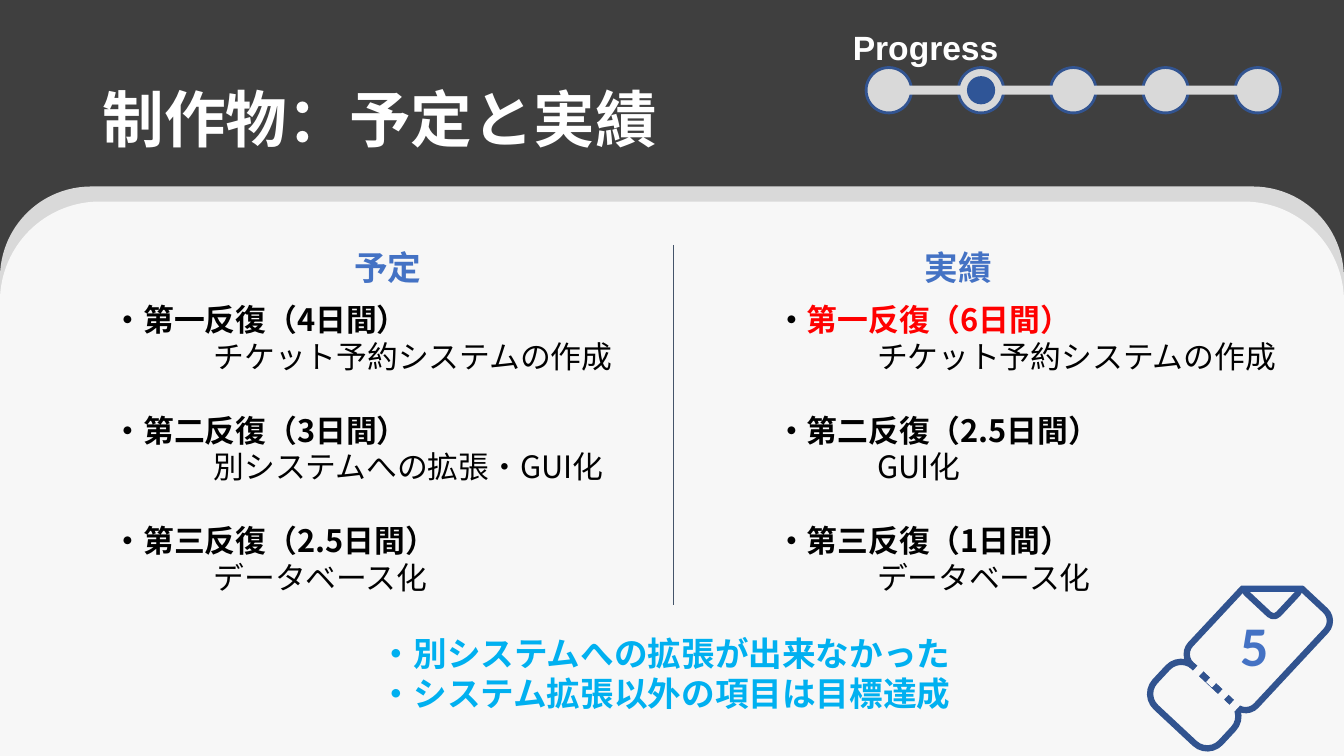
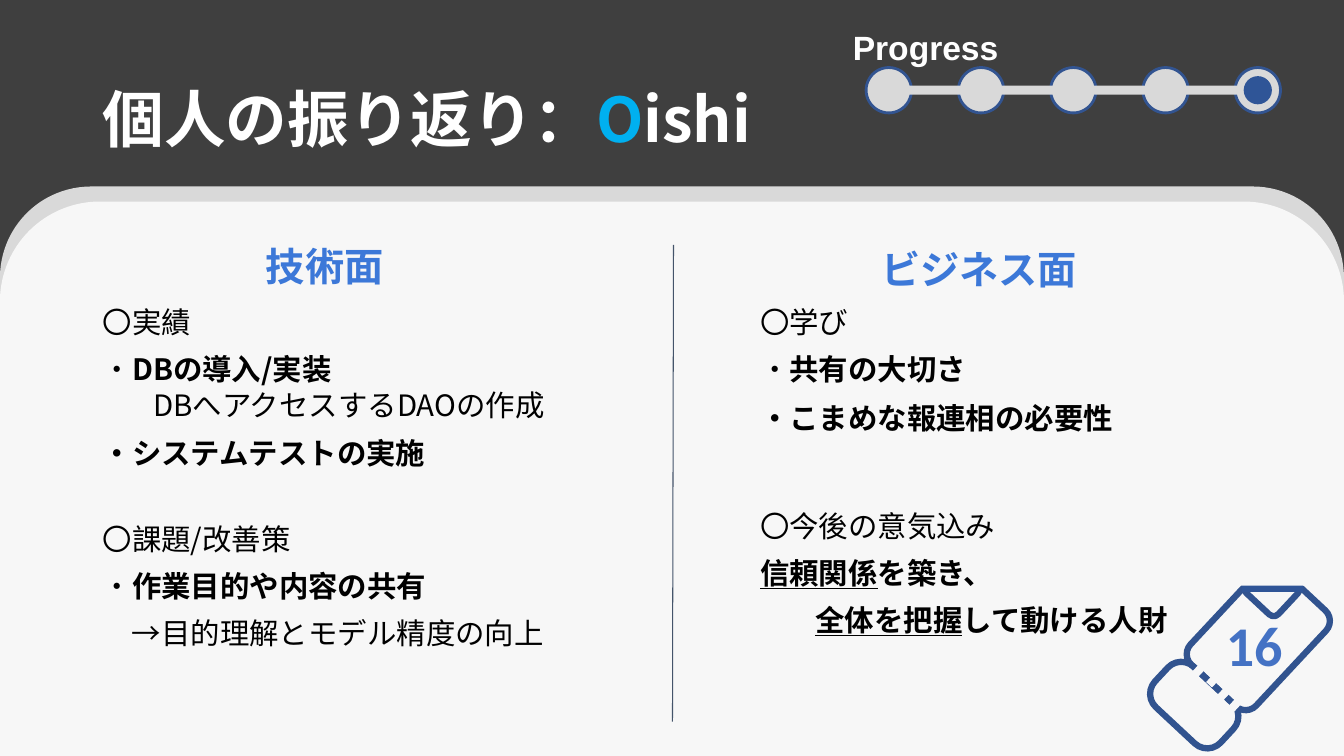
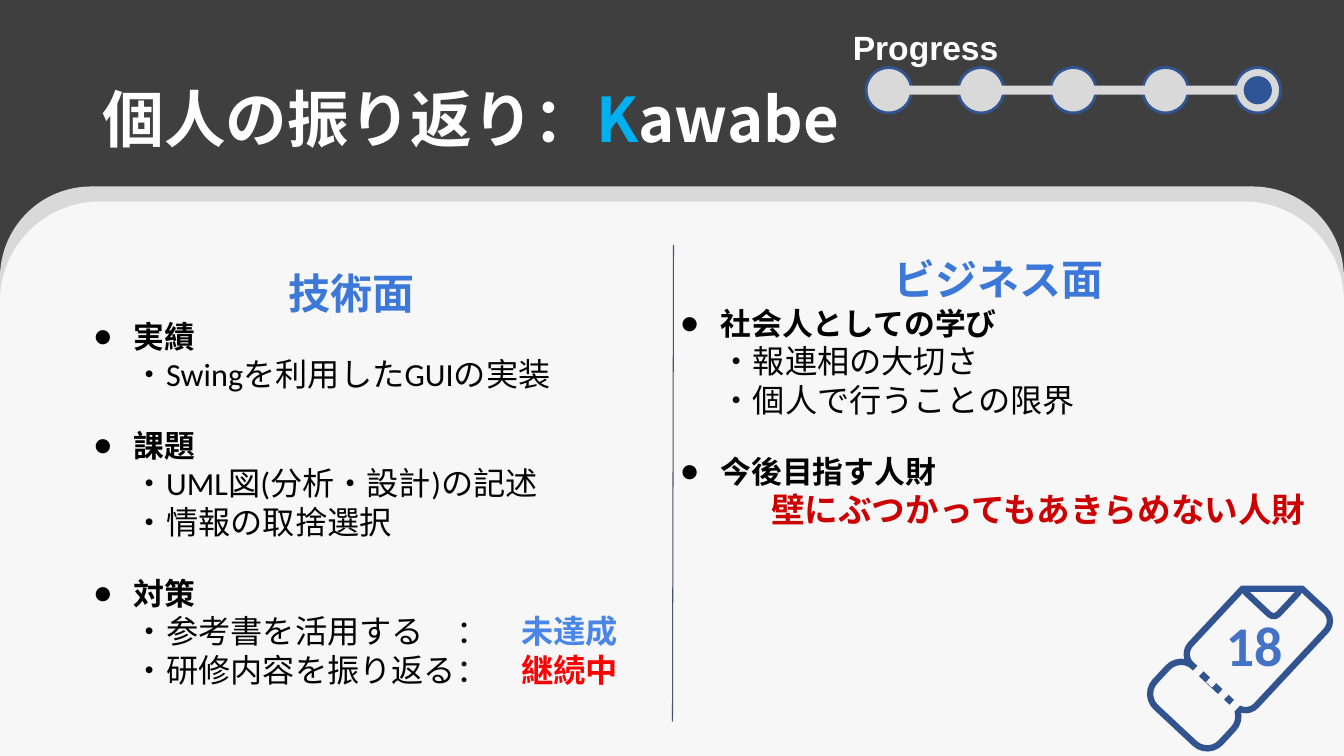
from dataclasses import dataclass
from typing import Optional

from lxml import etree
from pptx import Presentation
from pptx.dml.color import RGBColor
from pptx.enum.shapes import MSO_CONNECTOR, MSO_SHAPE
from pptx.enum.text import MSO_ANCHOR, PP_ALIGN
from pptx.oxml.ns import qn
from pptx.util import Inches, Pt

LEFT, CENTER = PP_ALIGN.LEFT, PP_ALIGN.CENTER
TOP, MIDDLE = MSO_ANCHOR.TOP, MSO_ANCHOR.MIDDLE
RECTANGLE, ROUNDED, OVAL = MSO_SHAPE.RECTANGLE, MSO_SHAPE.ROUNDED_RECTANGLE, MSO_SHAPE.OVAL
STRAIGHT = MSO_CONNECTOR.STRAIGHT

WIDTH, HEIGHT = 13.33, 7.5
LINE_RATIO = 1.2
GOTHIC, CALIBRI, ARIAL = "Noto Sans CJK JP", "Calibri", "Arial"
COLORS = {
    "background": "3F3F3F", "panel": "F7F7F7", "rim": "D9D9D9",
    "white": "FFFFFF", "black": "000000", "red": "FF0000", "dark red": "CC0000",
    "blue": "4472C4", "heading": "3C78D8", "sky": "00B0F0", "status": "4A86E8",
    "ticket": "31538F", "dot line": "325491", "dot": "2F5597", "divider": "44546A",
}
STEPS, STEP_LEFT, STEP_TOP, STEP_GAP, STEP_SIZE, MARK_SIZE = 5, 8.59, 0.67, 0.915, 0.45, 0.28
TICKET_ANGLE = 313


@dataclass(frozen=True)
class Box:
    left: float
    top: float
    width: float
    height: float


@dataclass(frozen=True)
class Run:
    text: str
    bold: bool = True
    color: str = "black"
    font: str = GOTHIC
    underline: bool = False


@dataclass(frozen=True)
class Line:
    """A paragraph; gap is the size of the empty line's worth of space above it."""
    runs: tuple[Run, ...]
    size: float
    gap: float = 0
    margin: float = 0
    indent: float = 0
    bullet: bool = False
    align: PP_ALIGN = LEFT


@dataclass(frozen=True)
class Block:
    box: Box
    lines: tuple[Line, ...]


@dataclass(frozen=True)
class Page:
    title: tuple[Run, ...]
    number: int
    step: int
    divider_end: tuple[float, float]
    blocks: tuple[Block, ...]


def rgb(name: str) -> RGBColor:
    return RGBColor.from_string(COLORS[name])


def add_run(paragraph, content: Run, size: float) -> None:
    run = paragraph.add_run()
    run.text = content.text
    font = run.font
    font.name, font.size, font.bold = content.font, Pt(size), content.bold
    font.underline = content.underline
    font.color.rgb = rgb(content.color)
    east_asian = etree.Element(qn("a:ea"), typeface=content.font)
    font._element.find(qn("a:latin")).addnext(east_asian)


def add_bullet(properties) -> None:
    color = etree.SubElement(properties, qn("a:buClr"))
    etree.SubElement(color, qn("a:srgbClr"), val=COLORS["black"])
    etree.SubElement(properties, qn("a:buFont"), typeface=CALIBRI)
    etree.SubElement(properties, qn("a:buChar"), char="●")


def add_text(slide, box: Box, lines: tuple[Line, ...], inset: float = 0.1,
             anchor: MSO_ANCHOR = TOP) -> None:
    shape = slide.shapes.add_textbox(*map(Inches, (box.left, box.top, box.width, box.height)))
    frame = shape.text_frame
    frame.word_wrap, frame.vertical_anchor = True, anchor
    frame.margin_left = frame.margin_right = Inches(0.1)
    frame.margin_top = frame.margin_bottom = Inches(inset)
    for index, line in enumerate(lines):
        paragraph = frame.add_paragraph() if index else frame.paragraphs[0]
        paragraph.alignment = line.align
        paragraph.line_spacing = Pt(LINE_RATIO * line.size)
        paragraph.space_before = Pt(LINE_RATIO * line.gap)
        properties = paragraph._p.get_or_add_pPr()
        properties.set("marL", str(Inches(line.margin)))
        properties.set("indent", str(Inches(line.indent)))
        if line.bullet:
            add_bullet(properties)
        for run in line.runs:
            add_run(paragraph, run, line.size)


def add_shape(slide, kind: MSO_SHAPE, box: Box, fill: Optional[str] = None,
              outline: Optional[str] = None, weight: float = 1,
              rounding: Optional[float] = None, angle: float = 0) -> None:
    shape = slide.shapes.add_shape(kind, *map(Inches, (box.left, box.top, box.width, box.height)))
    shape.shadow.inherit = False
    shape.rotation = angle
    if rounding is not None:
        shape.adjustments[0] = rounding
    if fill:
        shape.fill.solid()
        shape.fill.fore_color.rgb = rgb(fill)
    else:
        shape.fill.background()
    if outline:
        shape.line.color.rgb = rgb(outline)
        shape.line.width = Pt(weight)
    else:
        shape.line.fill.background()


def add_line(slide, start: tuple[float, float], end: tuple[float, float],
             color: str, weight: float) -> None:
    connector = slide.shapes.add_connector(STRAIGHT, *map(Inches, start + end))
    connector.line.color.rgb = rgb(color)
    connector.line.width = Pt(weight)
    etree.SubElement(connector._element.spPr, qn("a:effectLst"))


def add_panel(slide) -> None:
    add_shape(slide, ROUNDED, Box(0, 1.85, WIDTH, HEIGHT - 1.85), "rim", rounding=0.16)
    add_shape(slide, ROUNDED, Box(0, 2, WIDTH, HEIGHT - 2), "panel", rounding=0.18)
    add_shape(slide, RECTANGLE, Box(0, 6.55, WIDTH, HEIGHT - 6.55), "panel")


def add_ticket(slide, number: int) -> None:
    """Draw the torn ticket that carries the page number."""
    for box, rounding in ((Box(11.57, 6.55, 0.55, 0.89), 0.33),
                          (Box(11.83, 5.88, 1.3, 0.89), 0.16),
                          (Box(12.41, 5.62, 0.41, 0.44), 0.16)):
        add_shape(slide, ROUNDED, box, outline="ticket", weight=4.5,
                  rounding=rounding, angle=TICKET_ANGLE)
    add_line(slide, (12.32, 5.84), (12.92, 5.84), "dot", 4.5)
    add_shape(slide, RECTANGLE, Box(12.3, 5.49, 0.72, 0.32), "panel")
    for left, top in ((11.8, 6.6), (11.96, 6.68), (12.06, 6.82), (12.18, 6.92)):
        add_shape(slide, RECTANGLE, Box(left, top, 0.2, 0.08), "panel", angle=TICKET_ANGLE)
    label = Line((Run(str(number), color="blue", font=CALIBRI),), 40, align=CENTER)
    add_text(slide, Box(12.04, 6.01, 0.8, 0.77), (label,), inset=0.05)


def add_progress(slide, step: int) -> None:
    for index in range(STEPS):
        box = Box(STEP_LEFT + index * STEP_GAP, STEP_TOP, STEP_SIZE, STEP_SIZE)
        add_shape(slide, OVAL, box, "rim", "dot line", 2)
    add_shape(slide, RECTANGLE, Box(8.81, 0.85, 3.61, 0.09), "rim")
    label = Line((Run("Progress", color="white", font=ARIAL),), 24)
    add_text(slide, Box(8.36, 0.22, 1.77, 0.5), (label,), inset=0.05)
    offset = (STEP_SIZE - MARK_SIZE) / 2
    add_shape(slide, OVAL, Box(STEP_LEFT + step * STEP_GAP + offset, STEP_TOP + offset,
                               MARK_SIZE, MARK_SIZE), "dot")


def add_page(presentation, page: Page) -> None:
    slide = presentation.slides.add_slide(presentation.slide_layouts[6])
    slide.background.fill.solid()
    slide.background.fill.fore_color.rgb = rgb("background")
    add_panel(slide)
    add_text(slide, Box(0.92, 0.44, 11.5, 1.45), (Line(page.title, 44),), 0.05, MIDDLE)
    add_ticket(slide, page.number)
    add_line(slide, (6.68, 2.43), page.divider_end, "divider", 0.75)
    for block in page.blocks:
        add_text(slide, block.box, block.lines)
    add_progress(slide, page.step)


def heading(text: str, size: float, color: str = "heading", font: str = GOTHIC) -> Line:
    return Line((Run(text, color=color, font=font),), size, align=CENTER)


def iterations(items: tuple[tuple[str, str], ...], first_color: str = "black") -> tuple[Line, ...]:
    """Pair each iteration with its work; the first has a narrow dot and its own colour."""
    lines = []
    for index, (name, work) in enumerate(items):
        runs = ((Run("・" + name),) if index
                else (Run("・", font=CALIBRI), Run(name, color=first_color)))
        lines += [Line(runs, 22, gap=22 if index else 0),
                  Line((Run(work, bold=False),), 22, margin=1)]
    return tuple(lines)


def note(*runs: Run, gap: float = 7, indent: float = 0) -> Line:
    return Line(runs, 21, gap, indent=indent)


def topic(text: str, gap: float = 0) -> Line:
    return Line((Run(text, font=CALIBRI),), 22, gap, margin=0.5, indent=-0.4, bullet=True)


def detail(text: str, *status: Run) -> Line:
    return Line((Run(text, False, font=CALIBRI),) + status, 23, indent=0.5)


def reflection_title(initial: str, rest: str) -> tuple[Run, ...]:
    return (Run("個人の振り返り：", color="white"), Run(initial, color="sky"),
            Run(rest, color="white"))


DOT = Run("・", False, font=CALIBRI)

PAGES = (
    Page((Run("制作物：予定と実績", color="white"),), 5, 1, (6.68, 6), (
        Block(Box(3.34, 2.35, 1.01, 0.63), (heading("予定", 24, "blue"),)),
        Block(Box(9, 2.35, 1.01, 0.63), (heading("実績", 24, "blue"),)),
        Block(Box(1.02, 2.88, 5.33, 3.05), iterations((
            ("第一反復（4日間）", "チケット予約システムの作成"),
            ("第二反復（3日間）", "別システムへの拡張・GUI化"),
            ("第三反復（2.5日間）", "データベース化")))),
        Block(Box(7.6, 2.88, 5.52, 3.05), iterations((
            ("第一反復（6日間）", "チケット予約システムの作成"),
            ("第二反復（2.5日間）", "GUI化"),
            ("第三反復（1日間）", "データベース化")), "red")),
        Block(Box(3.67, 6.18, 5.99, 0.95), tuple(
            Line((Run(text, color="sky"),), 24) for text in (
                "・別システムへの拡張が出来なかった", "・システム拡張以外の項目は目標達成"))),
    )),
    Page(reflection_title("O", "ishi"), 16, 4, (6.67, 7.16), (
        Block(Box(8.48, 2.33, 2.46, 0.5), (heading("ビジネス面", 28),)),
        Block(Box(1.99, 2.3, 2.46, 0.5), (heading("技術面", 28),)),
        Block(Box(0.92, 2.92, 5.61, 4.09), (
            note(Run("〇実績", False, font=CALIBRI), gap=0),
            note(DOT, Run("DBの導入/実装")),
            note(Run("DBへアクセスするDAOの作成", False), gap=0, indent=0.5),
            note(Run("・システムテストの実施"), gap=8),
            note(Run("〇課題/改善策", False), gap=30),
            note(DOT, Run("作業目的や内容の共有")),
            note(Run("→目的理解とモデル精度の向上", False), indent=0.29))),
        Block(Box(7.44, 2.92, 4.53, 3.28), (
            note(Run("〇学び", False, font=CALIBRI), gap=0),
            note(DOT, Run("共有の大切さ")),
            note(Run("・こまめな報連相の必要性"), gap=8),
            note(Run("〇今後の意気込み", False), gap=43),
            note(Run("信頼関係", underline=True), Run("を築き、")),
            note(Run("全体を把握", underline=True), Run("して動ける人財"), indent=0.55))),
    )),
    Page(reflection_title("K", "awabe"), 18, 4, (6.67, 7.16), (
        Block(Box(0.73, 2.55, 5.52, 4.86), (
            heading("技術面", 30, font=CALIBRI),
            topic("実績"),
            detail("・Swingを利用したGUIの実装"),
            topic("課題", 20),
            detail("・UML図(分析・設計)の記述"),
            detail("・情報の取捨選択"),
            topic("対策", 20),
            detail("・参考書を活用する　：　", Run("未達成", color="status", font=CALIBRI)),
            detail("・研修内容を振り返る：　", Run("継続中", color="red", font=CALIBRI)))),
        Block(Box(6.55, 2.42, 6.7, 3.27), (
            heading("ビジネス面", 30, font=CALIBRI),
            topic("社会人としての学び"),
            detail("・報連相の大切さ"),
            detail("・個人で行うことの限界"),
            topic("今後目指す人財", 20),
            Line((Run("壁にぶつかってもあきらめない人財", color="dark red", font=CALIBRI),),
                 24, margin=1))),
    )),
)


def main() -> None:
    presentation = Presentation()
    presentation.slide_width, presentation.slide_height = Inches(WIDTH), Inches(HEIGHT)
    for page in PAGES:
        add_page(presentation, page)
    presentation.save("out.pptx")


if __name__ == "__main__":
    main()
